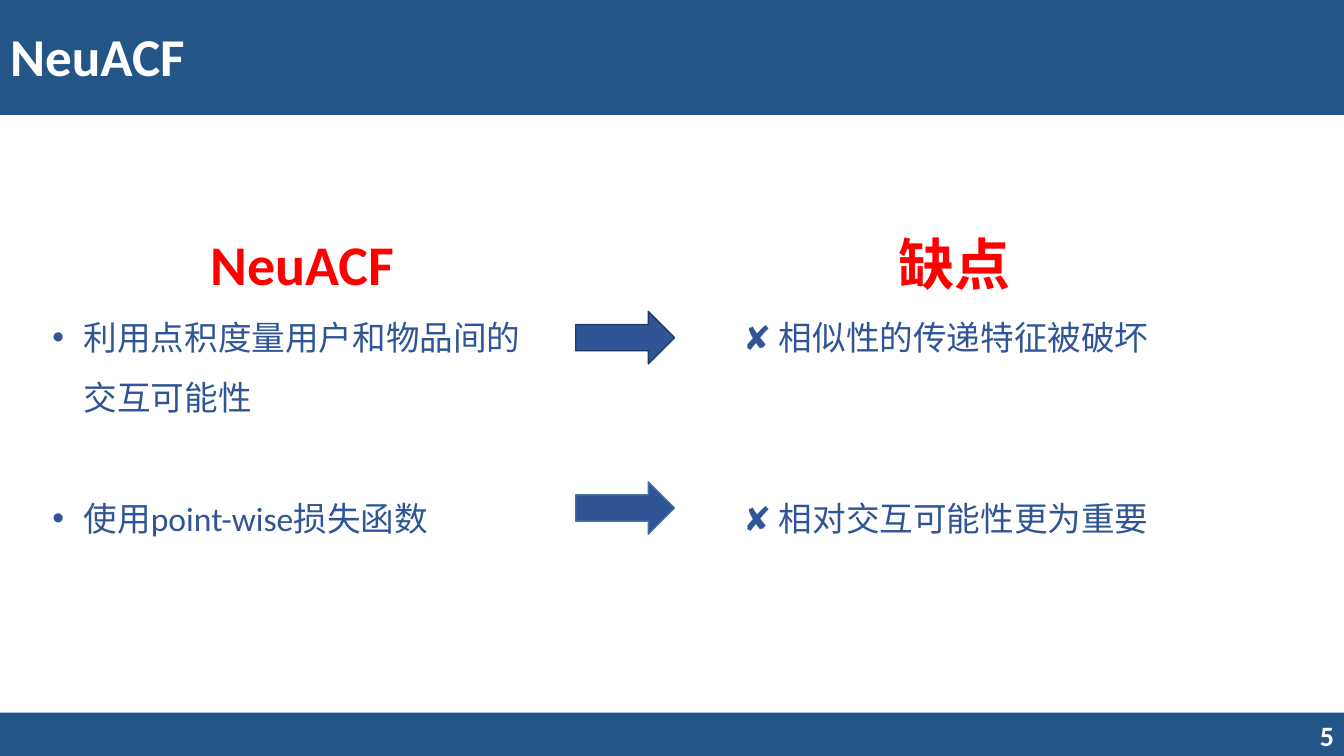
from pptx import Presentation
from pptx.dml.color import RGBColor
from pptx.enum import shapes, text
from pptx.oxml import parse_xml
from pptx.oxml.ns import nsdecls
from pptx.util import Inches, Pt

# Content
TITLE = "NeuACF"
PAGE_NUMBER = "5"
# left, width, heading, points, bullet, hanging indent, gap above the last point
COLUMNS = [
    (0.42, 5.15, "NeuACF",
     ["利用点积度量用户和物品间的交互可能性", "使用point-wise损失函数"], "•", 0.31, 43.2),
    (7.27, 4.39, "缺点",
     ["✘ 相似性的传递特征被破坏", "✘ 相对交互可能性更为重要"], None, 0, 86.4),
]
BANDS = [(0, 1.14), (7.07, 0.43)]  # top, height

WHITE = RGBColor(0xFF, 0xFF, 0xFF)
BAND_BLUE = RGBColor(0x24, 0x55, 0x87)
TEXT_BLUE = RGBColor(0x2F, 0x55, 0x97)
RED = RGBColor(0xFF, 0x00, 0x00)
ARROWS = [(3.09, RGBColor(0x20, 0x38, 0x64)), (4.78, RGBColor(0x43, 0x73, 0x9E))]
SLIDE_WIDTH = 13.33


def place(part, left, top, width, height):
    part.left, part.top = Inches(left), Inches(top)
    part.width, part.height = Inches(width), Inches(height)


def style(paragraph, size, color, bold, align=text.PP_ALIGN.LEFT):
    paragraph.alignment = align
    for run in paragraph.runs:
        run.font.name = "Calibri"
        run.font.size = Pt(size)
        run.font.bold = bold
        run.font.color.rgb = color


def set_bullet(paragraph, bullet, indent):
    properties = paragraph._p.get_or_add_pPr()
    properties.set("marL", str(Inches(indent)))
    properties.set("indent", str(-Inches(indent)))
    if bullet:
        properties.append(parse_xml(f'<a:buFont {nsdecls("a")} typeface="Arial"/>'))
        properties.append(parse_xml(f'<a:buChar {nsdecls("a")} char="{bullet}"/>'))
    else:
        properties.append(parse_xml(f'<a:buNone {nsdecls("a")}/>'))


def add_filled(kind, left, top, width, height, color):
    part = slide.shapes.add_shape(
        kind, Inches(left), Inches(top), Inches(width), Inches(height))
    part.shadow.inherit = False
    part.fill.solid()
    part.fill.fore_color.rgb = color
    return part


prs = Presentation()
prs.slide_width, prs.slide_height = Inches(SLIDE_WIDTH), Inches(7.5)
slide = prs.slides.add_slide(prs.slide_layouts.get_by_name("Two Content"))
title, *bodies = slide.placeholders

# Bands behind the text
for top, height in BANDS:
    band = add_filled(shapes.MSO_SHAPE.RECTANGLE, 0, top, SLIDE_WIDTH, height, BAND_BLUE)
    band.line.fill.background()
    slide.shapes._spTree.insert(2, band._element)

# Title and page number
place(title, 0, 0.18, SLIDE_WIDTH, 0.74)
title.text_frame.text = TITLE
title.text_frame.auto_size = text.MSO_AUTO_SIZE.NONE
style(title.text_frame.paragraphs[0], 38, WHITE, True)

page = slide.shapes.add_textbox(Inches(12.75), Inches(7.09), Inches(0.58), Inches(0.4))
page.text_frame.text = PAGE_NUMBER
page.text_frame.word_wrap = True
page.text_frame.vertical_anchor = text.MSO_ANCHOR.MIDDLE
style(page.text_frame.paragraphs[0], 20, WHITE, True, text.PP_ALIGN.RIGHT)

# Method and drawback columns
for body, (left, width, heading, points, bullet, indent, gap) in zip(bodies, COLUMNS):
    place(body, left, 1.89, width, 3.47)
    frame = body.text_frame
    frame.text = "\n".join([heading, *points])
    frame.auto_size = text.MSO_AUTO_SIZE.NONE
    for paragraph in frame.paragraphs:
        paragraph.line_spacing = 1.5
        paragraph.space_before = Pt(0)
    heading_line, *point_lines = frame.paragraphs
    style(heading_line, 40, RED, True, text.PP_ALIGN.CENTER)
    set_bullet(heading_line, None, 0)
    for point in point_lines:
        style(point, 24, TEXT_BLUE, False)
        set_bullet(point, bullet, indent)
    point_lines[-1].space_before = Pt(gap)

# Arrows from method to drawback
for top, outline in ARROWS:
    arrow = add_filled(shapes.MSO_SHAPE.RIGHT_ARROW, 5.71, top, 0.98, 0.52, TEXT_BLUE)
    arrow.line.color.rgb = outline
    arrow.line.width = Pt(1)

prs.save("out.pptx")
